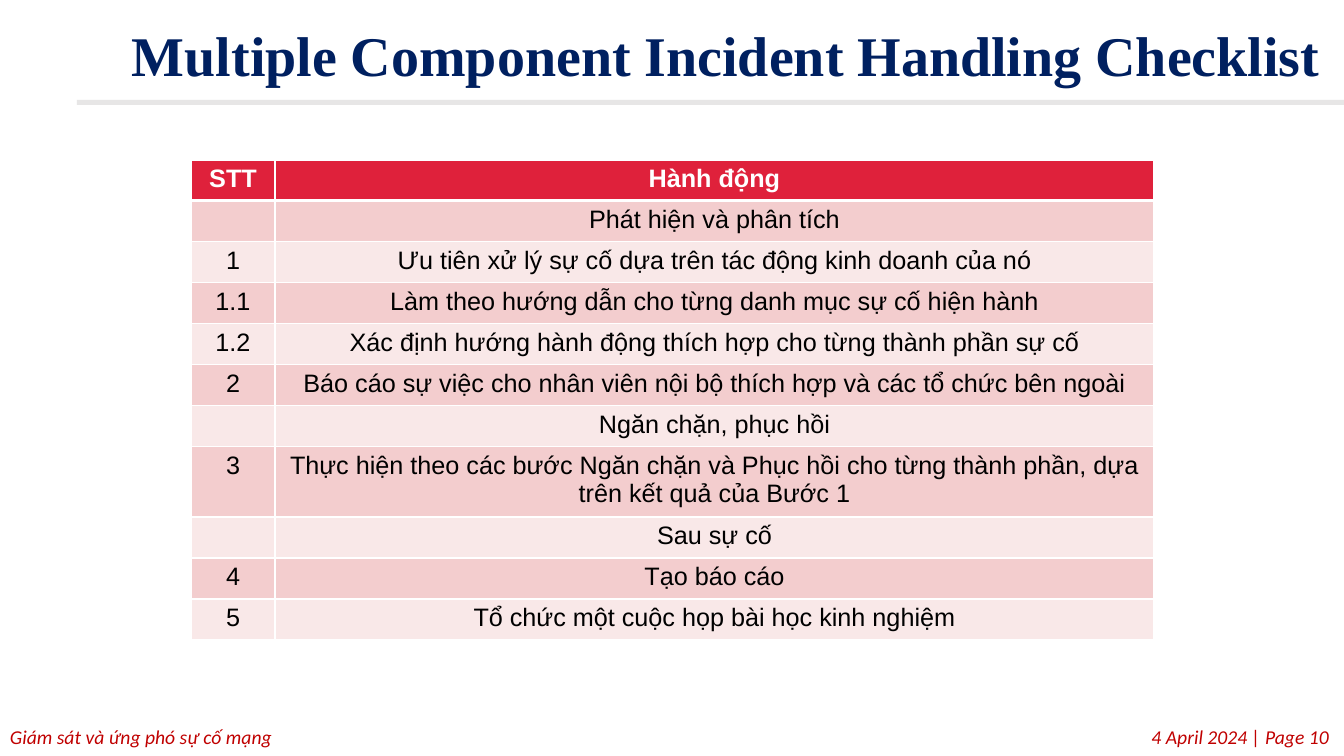
import pptx
import pptx.dml.color
import pptx.enum.shapes
import pptx.enum.text
import pptx.oxml
import pptx.oxml.ns
import pptx.util

EMU_PER_PX = 914400 / 100.8
ALIGN = pptx.enum.text.PP_ALIGN
TITLE_ONLY_LAYOUT = 5

HEADER = ("STT", "Hành động")
ACTIONS = [
    ("", "Phát hiện và phân tích"),
    ("1", "Ưu tiên xử lý sự cố dựa trên tác động kinh doanh của nó"),
    ("1.1", "Làm theo hướng dẫn cho từng danh mục sự cố hiện hành"),
    ("1.2", "Xác định hướng hành động thích hợp cho từng thành phần sự cố"),
    ("2", "Báo cáo sự việc cho nhân viên nội bộ thích hợp và các tổ chức bên ngoài"),
    ("", "Ngăn chặn, phục hồi"),
    ("3", "Thực hiện theo các bước Ngăn chặn và Phục hồi cho từng thành phần, "
          "dựa trên kết quả của Bước 1"),
    ("", "Sau sự cố"),
    ("4", "Tạo báo cáo"),
    ("5", "Tổ chức một cuộc họp bài học kinh nghiệm"),
]
HEADER_FILL = "DF213B"
BAND_FILLS = ("F3CDCE", "F9E8E8")
COLUMN_WIDTHS = (84, 879)
HEADER_HEIGHT = 38
ROW_HEIGHT = 41


def px(length):
    return pptx.util.Emu(round(length * EMU_PER_PX))


def box(left, top, width, height):
    return px(left), px(top), px(width), px(height)


def rgb(color):
    return pptx.dml.color.RGBColor.from_string(color)


def add_run(paragraph, text, size, font, color, bold=False, italic=False):
    run = paragraph.add_run()
    run.text = text
    run.font.size = pptx.util.Pt(size)
    run.font.name = font
    run.font.color.rgb = rgb(color)
    run.font.bold = bold
    run.font.italic = italic


def set_title(slide, text):
    title = slide.shapes.title
    title.left, title.top, title.width, title.height = box(122, 19, 1235, 79)
    frame = title.text_frame
    frame.auto_size = pptx.enum.text.MSO_AUTO_SIZE.NONE
    frame.vertical_anchor = pptx.enum.text.MSO_ANCHOR.MIDDLE
    frame.margin_left = frame.margin_right = px(10)
    frame.margin_top = frame.margin_bottom = px(10)
    paragraph = frame.paragraphs[0]
    paragraph.alignment = ALIGN.LEFT
    paragraph.line_spacing = 0.9
    add_run(paragraph, text, 40, "Times New Roman", "002060", bold=True)


def add_rule(slide):
    rule = slide.shapes.add_shape(
        pptx.enum.shapes.MSO_SHAPE.RECTANGLE, *box(77, 100, 1267, 5))
    rule.shadow.inherit = False
    rule.fill.solid()
    rule.fill.fore_color.rgb = rgb("E7E6E6")
    rule.line.fill.background()


def add_footer(slide, text, left, width, alignment):
    frame = slide.shapes.add_textbox(*box(left, 720, width, 34)).text_frame
    frame.word_wrap = True
    frame.paragraphs[0].alignment = alignment
    add_run(frame.paragraphs[0], text, 14, "Calibri", "C00000", italic=True)


def set_borders(cell, widths):
    """Draw white borders, with widths in points for left, right, top, bottom."""
    properties = cell._tc.get_or_add_tcPr()
    for side, width in zip("LRTB", widths):
        properties.append(pptx.oxml.parse_xml(
            f'<a:ln{side} {pptx.oxml.ns.nsdecls("a")} w="{pptx.util.Pt(width)}">'
            '<a:solidFill><a:srgbClr val="FFFFFF"/></a:solidFill>'
            f'</a:ln{side}>'))


def fill_cell(cell, text, row_index):
    is_header = row_index == 0
    top = 3 if row_index == 1 else 1
    bottom = 3 if is_header else 1
    set_borders(cell, (1, 1, top, bottom))
    cell.fill.solid()
    cell.fill.fore_color.rgb = rgb(
        HEADER_FILL if is_header else BAND_FILLS[(row_index - 1) % 2])
    paragraph = cell.text_frame.paragraphs[0]
    paragraph.alignment = ALIGN.CENTER
    if text:
        add_run(paragraph, text, 18, "Arial",
                "FFFFFF" if is_header else "000000", bold=is_header)


def add_checklist(slide):
    rows = [HEADER] + ACTIONS
    height = HEADER_HEIGHT + ROW_HEIGHT * len(ACTIONS)
    table = slide.shapes.add_table(
        len(rows), len(HEADER), *box(191, 160, sum(COLUMN_WIDTHS), height)).table
    for column, width in zip(table.columns, COLUMN_WIDTHS):
        column.width = px(width)
    for row_index, texts in enumerate(rows):
        row = table.rows[row_index]
        row.height = px(ROW_HEIGHT if row_index else HEADER_HEIGHT)
        for cell, text in zip(row.cells, texts):
            fill_cell(cell, text, row_index)


def main():
    presentation = pptx.Presentation()
    presentation.slide_width = px(1344)
    presentation.slide_height = px(756)
    slide = presentation.slides.add_slide(
        presentation.slide_layouts[TITLE_ONLY_LAYOUT])
    add_footer(slide, "Giám sát và ứng phó sự cố mạng", 0, 1344, ALIGN.LEFT)
    add_footer(slide, "4 April 2024 | Page 10", 527, 812, ALIGN.RIGHT)
    add_rule(slide)
    set_title(slide, "Multiple Component Incident Handling Checklist")
    add_checklist(slide)
    presentation.save("out.pptx")


if __name__ == "__main__":
    main()
